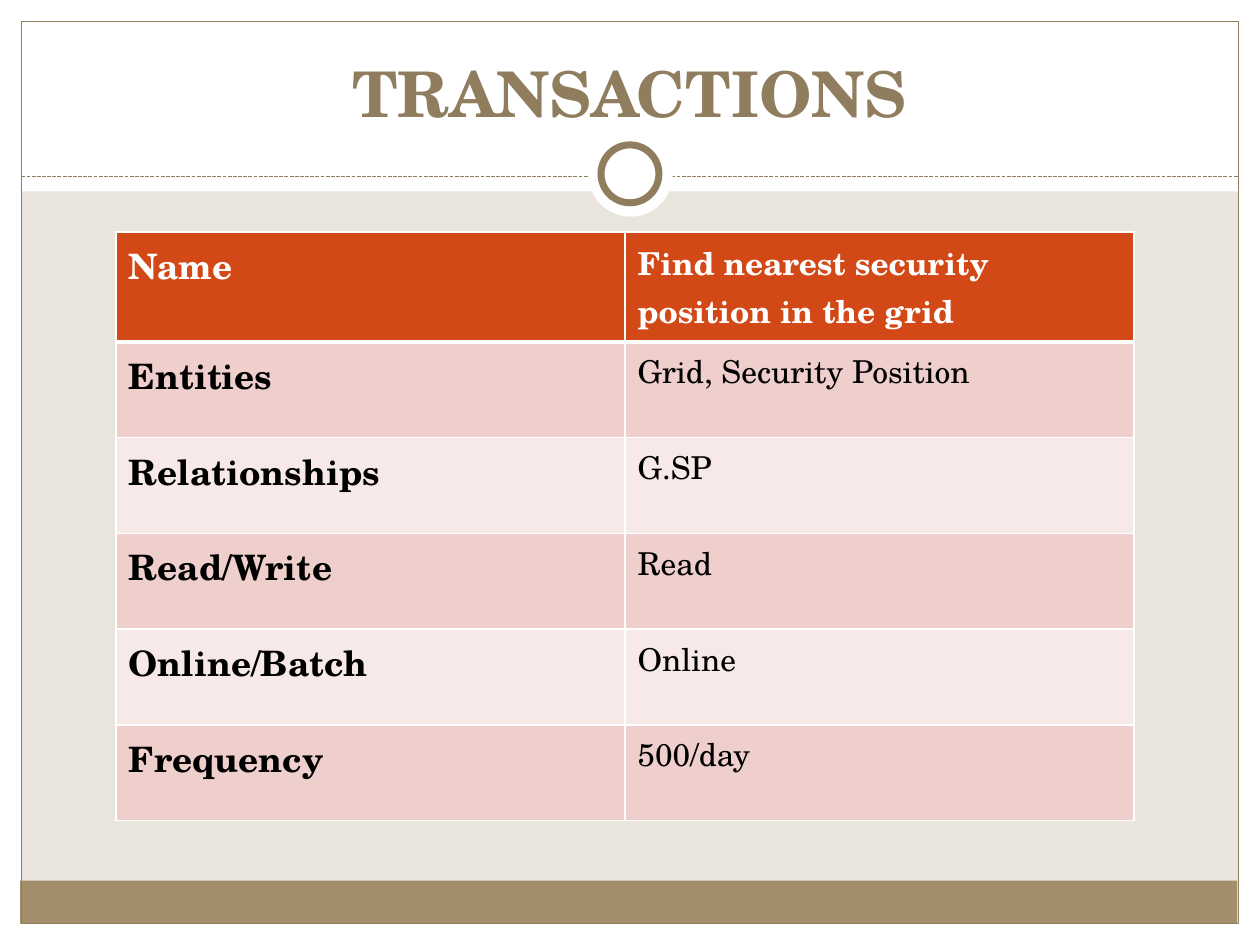
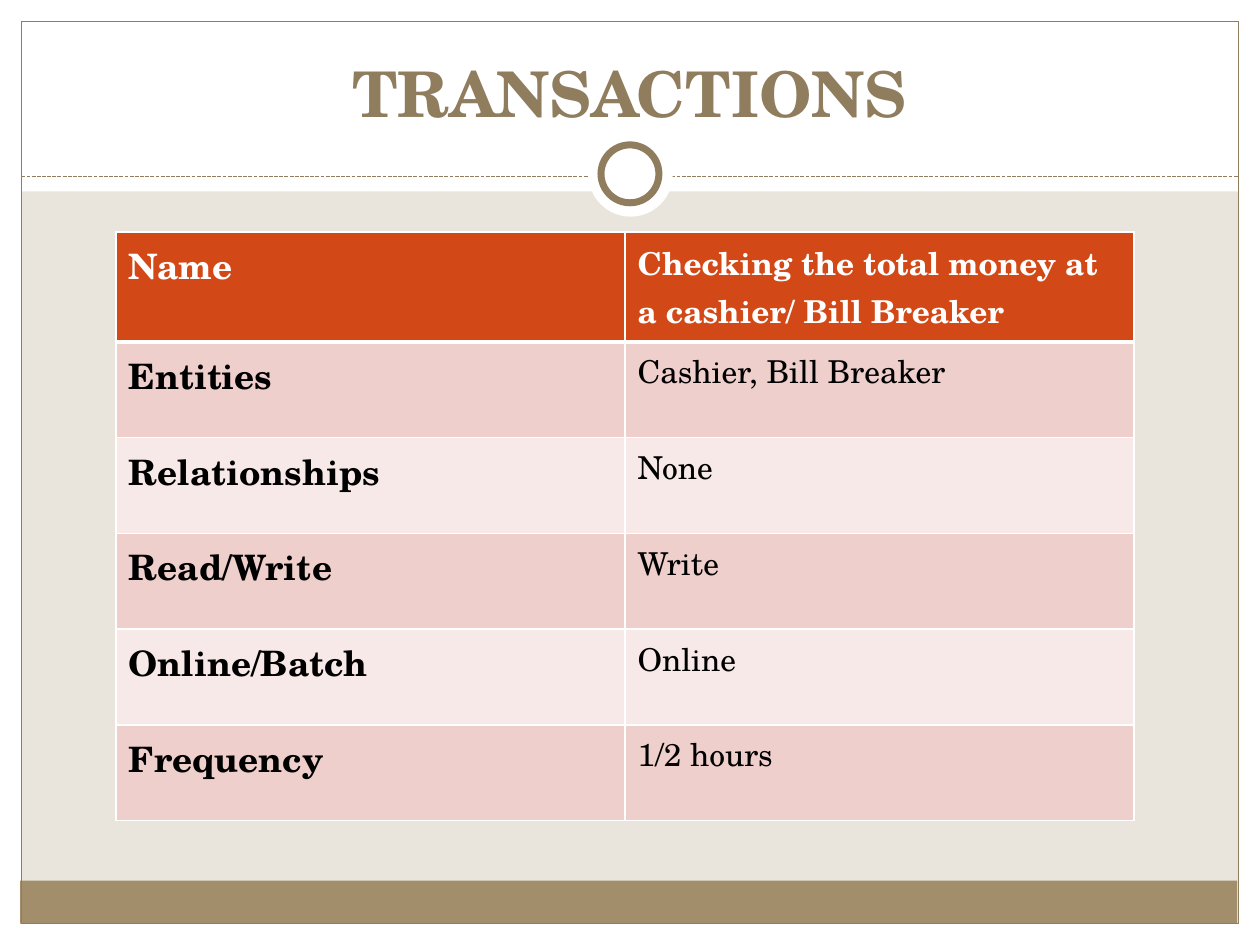
"""Build two transaction slides with a shared frame and a table each."""
from lxml import etree
from pptx import Presentation
from pptx import util as u
from pptx.dml.color import RGBColor
from pptx.enum import dml, shapes, text
from pptx.oxml import ns

PX = 9144
FONT = "TeX Gyre Schola"
WHITE = RGBColor(0xFF, 0xFF, 0xFF)
BLACK = RGBColor(0x00, 0x00, 0x00)
CREAM = RGBColor(0xE9, 0xE5, 0xDC)
TAN = RGBColor(0xA2, 0x8E, 0x6A)
BROWN = RGBColor(0x8F, 0x7D, 0x5E)
ORANGE = RGBColor(0xD3, 0x48, 0x17)
ROSE = RGBColor(0xEF, 0xCF, 0xCC)
PALE_ROSE = RGBColor(0xF7, 0xE9, 0xE8)

RECT = shapes.MSO_SHAPE.RECTANGLE
OVAL = shapes.MSO_SHAPE.OVAL
BANDS = [
    (RECT, 0, 733, 1000, 17, WHITE, None),
    (RECT, 0, 0, 1000, 152, WHITE, None),
    (RECT, 0, 0, 17, 750, WHITE, None),
    (RECT, 983, 0, 17, 750, WHITE, None),
    (RECT, 16, 699, 966, 34, TAN, None),
    (RECT, 17, 17, 966, 716, None, 0.75),
]
RING = [
    (OVAL, 467, 105, 67, 67, WHITE, None),
    (OVAL, 477, 115, 46, 46, WHITE, 4),
]
LABELS = ["Name", "Entities", "Relationships", "Read/Write", "Online/Batch", "Frequency"]
TRANSACTIONS = [
    ["Find nearest security position in the grid", "Grid, Security Position",
     "G.SP", "Read", "Online", "500/day"],
    ["Checking the total money at a cashier/ Bill Breaker", "Cashier, Bill Breaker",
     "None", "Write", "Online", "1/2 hours"],
]


def add_span(para, words, size, color, bold):
    span = para.add_run()
    span.text = words
    span.font.name = FONT
    span.font.size = u.Pt(size)
    span.font.bold = bold
    span.font.color.rgb = color


def draw_shapes(page, items):
    for kind, left, top, width, height, fill, weight in items:
        shape = page.shapes.add_shape(kind, left * PX, top * PX, width * PX, height * PX)
        shape.shadow.inherit = False
        if fill is None:
            shape.fill.background()
        else:
            shape.fill.solid()
            shape.fill.fore_color.rgb = fill
        if weight is None:
            shape.line.fill.background()
        else:
            shape.line.color.rgb = BROWN
            shape.line.width = u.Pt(weight)


deck = Presentation()
deck.slide_width = 1000 * PX
deck.slide_height = 750 * PX
master = deck.slide_master
master.background.fill.solid()
master.background.fill.fore_color.rgb = CREAM
pages = [deck.slides.add_slide(deck.slide_layouts[5]) for _ in TRANSACTIONS]

draw_shapes(pages[0], BANDS)
rule = pages[0].shapes.add_connector(
    shapes.MSO_CONNECTOR.STRAIGHT, 17 * PX, 140 * PX, 983 * PX, 140 * PX)
rule.line.color.rgb = BROWN
rule.line.width = u.Pt(0.75)
rule.line.dash_style = dml.MSO_LINE.SQUARE_DOT
etree.SubElement(rule.element.spPr, ns.qn("a:effectLst"))
draw_shapes(pages[0], RING)

master_tree = master.element.cSld.spTree
frame = [shape for shape in pages[0].shapes if not shape.is_placeholder]
for number, shape in enumerate(frame, start=100):
    shape.element.xpath(".//p:cNvPr")[0].set("id", str(number))
    master_tree.append(shape.element)

for page, values in zip(pages, TRANSACTIONS):
    title = page.shapes.title
    title.left, title.top, title.width, title.height = 33 * PX, 25 * PX, 933 * PX, 83 * PX
    title.text_frame.word_wrap = True
    title.text_frame.auto_size = text.MSO_AUTO_SIZE.NONE
    title.text_frame.vertical_anchor = text.MSO_ANCHOR.BOTTOM
    para = title.text_frame.paragraphs[0]
    para.alignment = text.PP_ALIGN.CENTER
    add_span(para, "TRANSACTIONS", 36, BROWN, True)

    table = page.shapes.add_table(
        len(LABELS), 2, 92 * PX, 184 * PX, 808 * PX, 458 * PX).table
    for column in table.columns:
        column.width = 404 * PX
    for row, entries in enumerate(zip(LABELS, values)):
        header = row == 0
        table.rows[row].height = 76 * PX
        for col, words in enumerate(entries):
            cell = table.cell(row, col)
            borders = cell.fill and cell._tc.get_or_add_tcPr()
            for side in ("lnL", "lnR", "lnT", "lnB"):
                weight = 3 if header and side == "lnB" else 1
                border = etree.SubElement(borders, ns.qn("a:" + side), w=str(u.Pt(weight)))
                paint = etree.SubElement(border, ns.qn("a:solidFill"))
                etree.SubElement(paint, ns.qn("a:srgbClr"), val=str(WHITE))
            cell.fill.solid()
            cell.fill.fore_color.rgb = ORANGE if header else ROSE if row % 2 else PALE_ROSE
            add_span(cell.text_frame.paragraphs[0], words, 18 if col else 20,
                     WHITE if header else BLACK, header or col == 0)

deck.save("out.pptx")
